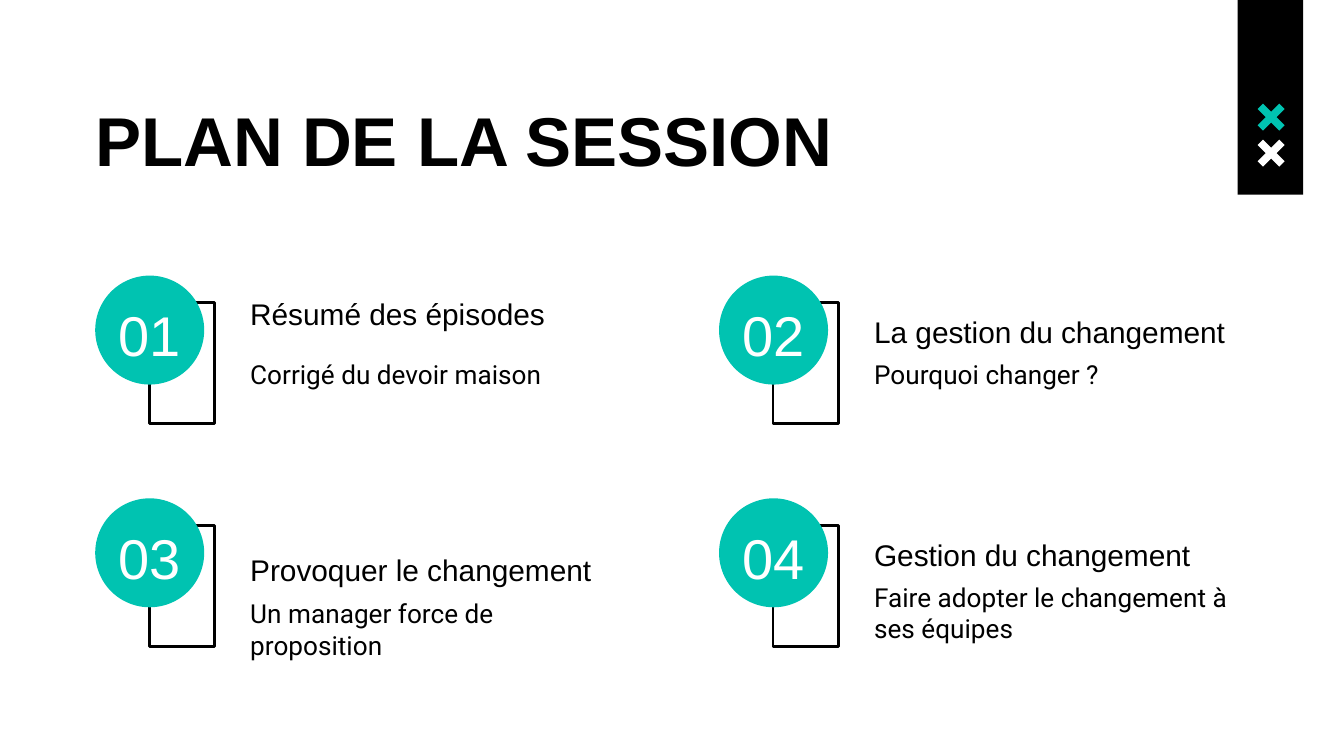
"""Build the session plan slide: a title, four numbered topics and a corner banner."""
from pptx import Presentation
from pptx.dml.color import RGBColor
from pptx.enum.shapes import MSO_SHAPE
from pptx.enum.text import MSO_ANCHOR, PP_ALIGN
from pptx.util import Cm, Pt

RECT, OVAL = MSO_SHAPE.RECTANGLE, MSO_SHAPE.OVAL
TOP, MIDDLE = MSO_ANCHOR.TOP, MSO_ANCHOR.MIDDLE
LEFT, CENTER = PP_ALIGN.LEFT, PP_ALIGN.CENTER

COLORS = {"black": "000000", "teal": "00C3B1", "white": "FFFFFF"}

TITLE = "PLAN DE LA SESSION"
# number, heading, body, heading offset, body offset
TOPICS = [
    ("01", "Résumé des épisodes", "Corrigé du devoir maison", 0.17, 1.32),
    ("02", "La gestion du changement", "Pourquoi changer ?", 0.51, 1.32),
    ("03", "Provoquer le changement", "Un manager force de proposition", 0.81, 1.63),
    ("04", "Gestion du changement", "Faire adopter le changement à ses équipes", 0.51, 1.32),
]
CROSSES = [("teal", 1.96), ("white", 2.64)]
CROSS_POINTS = [(2, 0), (0, 2), (3, 5), (0, 8), (2, 10), (5, 7),
                (8, 10), (10, 8), (7, 5), (10, 2), (8, 0), (5, 3)]

STYLES = {
    "title": ({"size": Pt(37), "name": "Arial", "bold": True}, "black", MIDDLE, LEFT, 1.15),
    "number": ({"size": Pt(30), "name": "Arial"}, "white", MIDDLE, CENTER, 1.15),
    "heading": ({"size": Pt(16), "name": "Arial"}, "black", MIDDLE, LEFT, 1.15),
    "body": ({"size": Pt(14), "name": "Roboto"}, "black", TOP, LEFT, 1.0),
}

GRID_X, GRID_Y = 1.8, 5.21
STEP_X, STEP_Y = 11.79, 4.21
CIRCLE = 2.06
FRAME_DX, FRAME_DY, FRAME_W, FRAME_H = 1.02, 0.51, 1.24, 2.29
TEXT_DX = 2.68


def rgb(name):
    return RGBColor.from_string(COLORS[name])


def paint(shape, fill=None, line=None):
    shape.shadow.inherit = False
    if fill:
        shape.fill.solid()
        shape.fill.fore_color.rgb = rgb(fill)
    else:
        shape.fill.background()
    if line:
        shape.line.color.rgb = rgb(line)
        shape.line.width = Pt(1.5)
    else:
        shape.line.fill.background()


def add_block(s, kind, x, y, w, h, **colors):
    paint(s.shapes.add_shape(kind, Cm(x), Cm(y), Cm(w), Cm(h)), **colors)


def add_cross(s, color, x, y, size):
    start, *rest = CROSS_POINTS
    builder = s.shapes.build_freeform(*start, scale=Cm(size) / 10)
    builder.add_line_segments(rest, close=True)
    paint(builder.convert_to_shape(Cm(x), Cm(y)), fill=color)


def add_text(s, text, style, x, y, w, h):
    font, color, anchor, align, spacing = STYLES[style]
    tf = s.shapes.add_textbox(Cm(x), Cm(y), Cm(w), Cm(h)).text_frame
    frame = {"word_wrap": True, "vertical_anchor": anchor}
    for side in ("left", "right", "top", "bottom"):
        frame[f"margin_{side}"] = Cm(0.25)
    for key, value in frame.items():
        setattr(tf, key, value)
    p = tf.paragraphs[0]
    p.alignment, p.line_spacing = align, spacing
    r = p.add_run()
    r.text = text
    for key, value in font.items():
        setattr(r.font, key, value)
    r.font.color.rgb = rgb(color)


def add_topic(s, index, number, heading, body, heading_dy, body_dy):
    row, col = divmod(index, 2)
    x, y = GRID_X + col * STEP_X, GRID_Y + row * STEP_Y
    add_block(s, RECT, x + FRAME_DX, y + FRAME_DY, FRAME_W, FRAME_H, line="black")
    add_block(s, OVAL, x, y, CIRCLE, CIRCLE, fill="teal")
    add_text(s, number, "number", x, y + 0.25, CIRCLE, 1.52)
    add_text(s, heading, "heading", x + TEXT_DX, y + heading_dy, 8.69, 0.99)
    add_text(s, body, "body", x + TEXT_DX, y + body_dy, 7.39, 1.78)


def main():
    prs = Presentation()
    prs.slide_width, prs.slide_height = Cm(25.4), Cm(14.29)
    s = prs.slides.add_slide(prs.slide_layouts[6])
    add_block(s, RECT, 23.39, 0, 1.24, 3.68, fill="black")
    for color, y in CROSSES:
        add_cross(s, color, 23.77, y, 0.51)
    add_text(s, TITLE, "title", 1.55, 1.5, 22.5, 2.01)
    for index, topic in enumerate(TOPICS):
        add_topic(s, index, *topic)
    prs.save("out.pptx")


if __name__ == "__main__":
    main()
